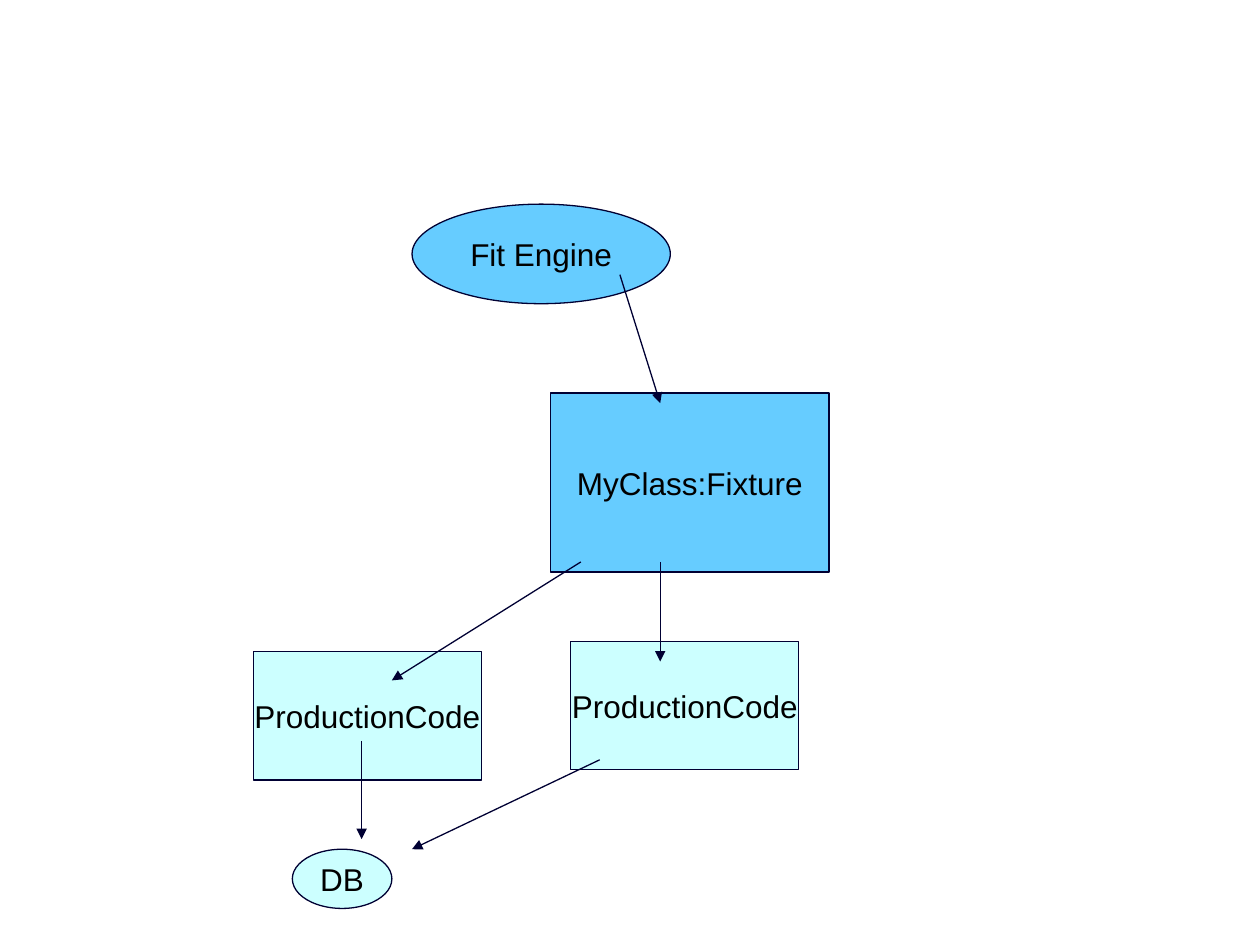
from typing import NamedTuple

import pptx
import pptx.dml.color
import pptx.enum.shapes
import pptx.enum.text
import pptx.oxml
import pptx.oxml.ns
import pptx.util
from pptx.util import Inches

ELLIPSE = pptx.enum.shapes.MSO_SHAPE.OVAL
RECTANGLE = pptx.enum.shapes.MSO_SHAPE.RECTANGLE
TEST_BLUE = "66CCFF"
PRODUCTION_BLUE = "CCFFFF"
OUTLINE = "000033"
LABEL_FONT = {"name": "Arial", "size": pptx.util.Pt(18)}
FRAME_FORMAT = {
    "word_wrap": False,
    "vertical_anchor": pptx.enum.text.MSO_ANCHOR.MIDDLE,
}


class Component(NamedTuple):
    label: str
    outline: pptx.enum.shapes.MSO_SHAPE
    left: float
    top: float
    width: float
    height: float
    fill: str


class Call(NamedTuple):
    start: tuple[float, float]
    end: tuple[float, float]


COMPONENTS = [
    Component("Fit Engine", ELLIPSE, 3.27, 1.62, 2.05, 0.79, TEST_BLUE),
    Component("MyClass:Fixture", RECTANGLE, 4.37, 3.12, 2.21, 1.42, TEST_BLUE),
    Component("ProductionCode", RECTANGLE, 2.01, 5.17, 1.81, 1.02, PRODUCTION_BLUE),
    Component("ProductionCode", RECTANGLE, 4.53, 5.09, 1.81, 1.02, PRODUCTION_BLUE),
    Component("DB", ELLIPSE, 2.32, 6.74, 0.79, 0.47, PRODUCTION_BLUE),
]

CALLS = [
    Call((4.92, 2.18), (5.24, 3.2)),
    Call((5.24, 4.46), (5.24, 5.25)),
    Call((4.61, 4.46), (3.11, 5.4)),
    Call((4.76, 6.03), (3.27, 6.74)),
    Call((2.87, 5.88), (2.87, 6.66)),
]


def rgb(value: str) -> pptx.dml.color.RGBColor:
    return pptx.dml.color.RGBColor.from_string(value)


def set_all(target: object, values: dict) -> None:
    """Set each named attribute of the target."""
    for name, value in values.items():
        setattr(target, name, value)


def draw_outline(line: pptx.dml.line.LineFormat) -> None:
    line.color.rgb = rgb(OUTLINE)
    line.width = pptx.util.Pt(0.75)


def draw_component(shapes: pptx.shapes.shapetree.SlideShapes, component: Component) -> None:
    bounds = (component.left, component.top, component.width, component.height)
    shape = shapes.add_shape(component.outline, *map(Inches, bounds))
    shape.shadow.inherit = False
    shape.fill.solid()
    shape.fill.fore_color.rgb = rgb(component.fill)
    draw_outline(shape.line)
    set_all(shape.text_frame, FRAME_FORMAT)
    paragraph = shape.text_frame.paragraphs[0]
    paragraph.alignment = pptx.enum.text.PP_ALIGN.CENTER
    run = paragraph.add_run()
    run.text = component.label
    set_all(run.font, LABEL_FONT)
    run.font.color.rgb = rgb("000000")


def draw_call(shapes: pptx.shapes.shapetree.SlideShapes, call: Call) -> None:
    arrow = shapes.add_connector(
        pptx.enum.shapes.MSO_CONNECTOR.STRAIGHT,
        *map(Inches, call.start + call.end),
    )
    draw_outline(arrow.line)
    properties = arrow._element.spPr
    head = pptx.oxml.parse_xml(
        f'<a:tailEnd {pptx.oxml.ns.nsdecls("a")} type="triangle"/>'
    )
    properties.find(pptx.oxml.ns.qn("a:ln")).append(head)
    properties.append(
        pptx.oxml.parse_xml(f'<a:effectLst {pptx.oxml.ns.nsdecls("a")}/>')
    )


def main() -> None:
    presentation = pptx.Presentation()
    presentation.slide_width = Inches(10)
    presentation.slide_height = Inches(7.5)
    slide = presentation.slides.add_slide(presentation.slide_layouts[6])
    for component in COMPONENTS:
        draw_component(slide.shapes, component)
    for call in CALLS:
        draw_call(slide.shapes, call)
    presentation.save("out.pptx")


if __name__ == "__main__":
    main()
